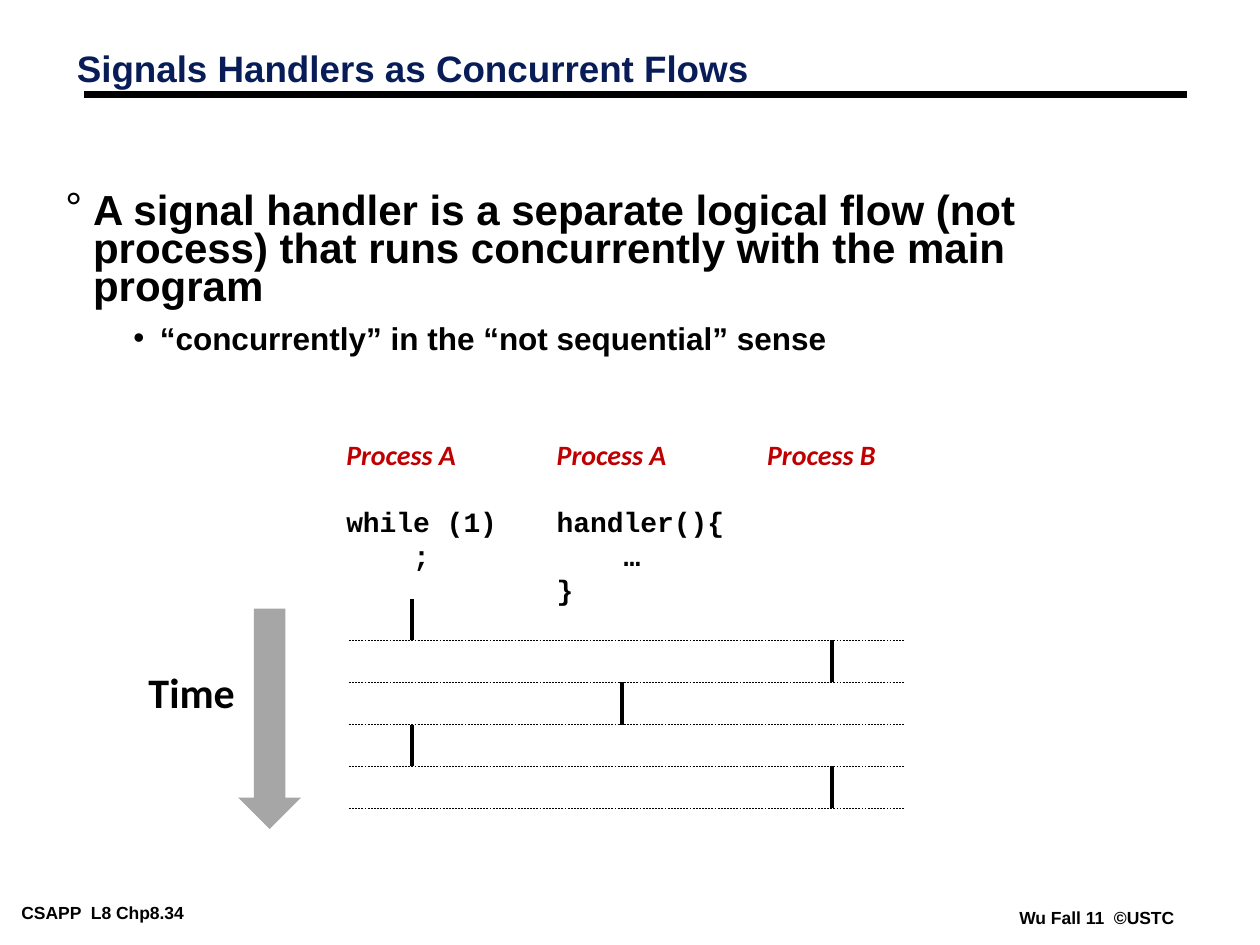
from dataclasses import dataclass

from lxml import etree
from pptx import Presentation
from pptx import util as u
from pptx.dml.color import RGBColor
from pptx.enum import dml, shapes, text
from pptx.oxml.ns import qn


@dataclass(frozen=True)
class Theme:
    ink: str = "000000"
    navy: str = "081D58"
    red: str = "C00000"
    gray: str = "A6A6A6"
    sans: str = "Arial"
    label: str = "Calibri"
    mono: str = "Courier New"
    foot: int = 10
    code: int = 16
    sub: int = 18
    head: int = 21
    main: int = 24


T = Theme()


def write(para, words, size, font=T.sans, color=T.ink, italic=False,
          line=None, before=None, bullet=None, indent=(0, 0)):
    """Fill a paragraph; indent is (left margin, first-line offset) in inches."""
    if bullet:
        props = para._p.get_or_add_pPr()
        props.set("marL", str(u.Inches(indent[0])))
        props.set("indent", str(u.Inches(indent[1])))
        etree.SubElement(props, qn("a:buFont"), typeface=T.sans)
        etree.SubElement(props, qn("a:buChar"), char=bullet)
    if line:
        para.line_spacing = line
    if before:
        para.space_before = u.Pt(before)
    run = para.add_run()
    run.text = words
    face = run.font
    face.name, face.size = font, u.Pt(size)
    face.bold, face.italic = True, italic
    face.color.rgb = RGBColor.from_string(color)


class Page:
    def __init__(self, slide, theme):
        self.slide, self.theme = slide, theme

    def title(self, words, box):
        shape = self.slide.shapes.title
        shape.left, shape.top, shape.width, shape.height = map(u.Inches, box)
        frame = shape.text_frame
        frame.auto_size = text.MSO_AUTO_SIZE.NONE
        frame.vertical_anchor = text.MSO_ANCHOR.MIDDLE
        para = frame.paragraphs[0]
        para.alignment = text.PP_ALIGN.LEFT
        write(para, words, self.theme.head, color=self.theme.navy, line=0.87)

    def text(self, box, paras, pad=(0.1, 0.05)):
        """Add a text box; paras is a list of (words, format) pairs."""
        frame = self.slide.shapes.add_textbox(*map(u.Inches, box)).text_frame
        frame.word_wrap = True
        frame.margin_left = frame.margin_right = u.Inches(pad[0])
        frame.margin_top = frame.margin_bottom = u.Inches(pad[1])
        for i, (words, form) in enumerate(paras):
            para = frame.add_paragraph() if i else frame.paragraphs[0]
            write(para, words, **form)

    def line(self, x1, y1, x2, y2, width, dash=None):
        link = self.slide.shapes.add_connector(
            shapes.MSO_CONNECTOR.STRAIGHT, *map(u.Inches, (x1, y1, x2, y2)))
        link.line.width = u.Pt(width)
        link.line.color.rgb = RGBColor.from_string(self.theme.ink)
        if dash:
            link.line.dash_style = dash
        etree.SubElement(link._element.spPr, qn("a:effectLst"))

    def arrow(self, box):
        shape = self.slide.shapes.add_shape(
            shapes.MSO_SHAPE.DOWN_ARROW, *map(u.Inches, box))
        shape.shadow.inherit = False
        shape.fill.solid()
        shape.fill.fore_color.rgb = RGBColor.from_string(self.theme.gray)
        shape.line.fill.background()


def flow(page):
    """Draw the three columns and the turns they take over time."""
    pitch = 19.3
    label = dict(size=T.code, font=T.label, color=T.red, italic=True,
                 line=u.Pt(pitch))
    code = dict(size=T.code, font=T.mono, line=u.Pt(pitch))
    columns = [
        (2.65, 1.5, "Process A", ["while (1)", "    ;"]),
        (4.32, 1.6, "Process A", ["handler(){", "    …", "}"]),
        (5.99, 1.15, "Process B", []),
    ]
    for left, width, name, lines in columns:
        paras = [(name, label)]
        for i, words in enumerate(lines):
            paras.append((words, code if i else dict(code, before=pitch)))
        rows = len(lines) + 2 if lines else 1
        page.text((left, 3.42, width, 0.1 + rows * pitch / 72), paras)

    top, step = 4.75, 1 / 3
    turns = [0, 2, 1, 0, 2]
    for i, col in enumerate(turns):
        x = 3.27 + col * 5 / 3
        y = top + i * step
        page.line(x, y, x, y + step, 2)
        page.line(2.77, y + step, 7.18, y + step, 0.25,
                  dml.MSO_LINE.DASH)


def main():
    deck = Presentation()
    deck.slide_width, deck.slide_height = u.Inches(10), u.Inches(7.5)
    page = Page(deck.slides.add_slide(deck.slide_layouts[5]), T)

    foot = dict(size=T.foot)
    page.text((0.1, 7.13, 1.95, 0.22), [("CSAPP  L8 Chp8.34", foot)],
              pad=(0.07, 0.03))
    page.text((8.02, 7.17, 1.5, 0.22), [("Wu Fall 11  ©USTC", foot)],
              pad=(0.07, 0.03))
    page.line(0.67, 0.75, 9.42, 0.75, 4.5)
    page.title("Signals Handlers as Concurrent Flows", (0.51, 0.36, 8.3, 0.41))
    page.text((0.42, 1.5, 9.05, 1.42), [
        ("A signal handler is a separate logical flow (not process) that runs "
         "concurrently with the main program",
         dict(size=T.main, line=0.75, bullet="°", indent=(0.22, -0.22))),
        ("“concurrently” in the “not sequential” sense",
         dict(size=T.sub, line=0.85, before=9, bullet="•",
              indent=(0.75, -0.21))),
    ])
    flow(page)
    page.text((1.08, 5.24, 0.95, 0.5),
              [("Time", dict(size=T.main, font=T.label))])
    page.arrow((1.89, 4.83, 0.5, 1.75))
    deck.save("out.pptx")


if __name__ == "__main__":
    main()
